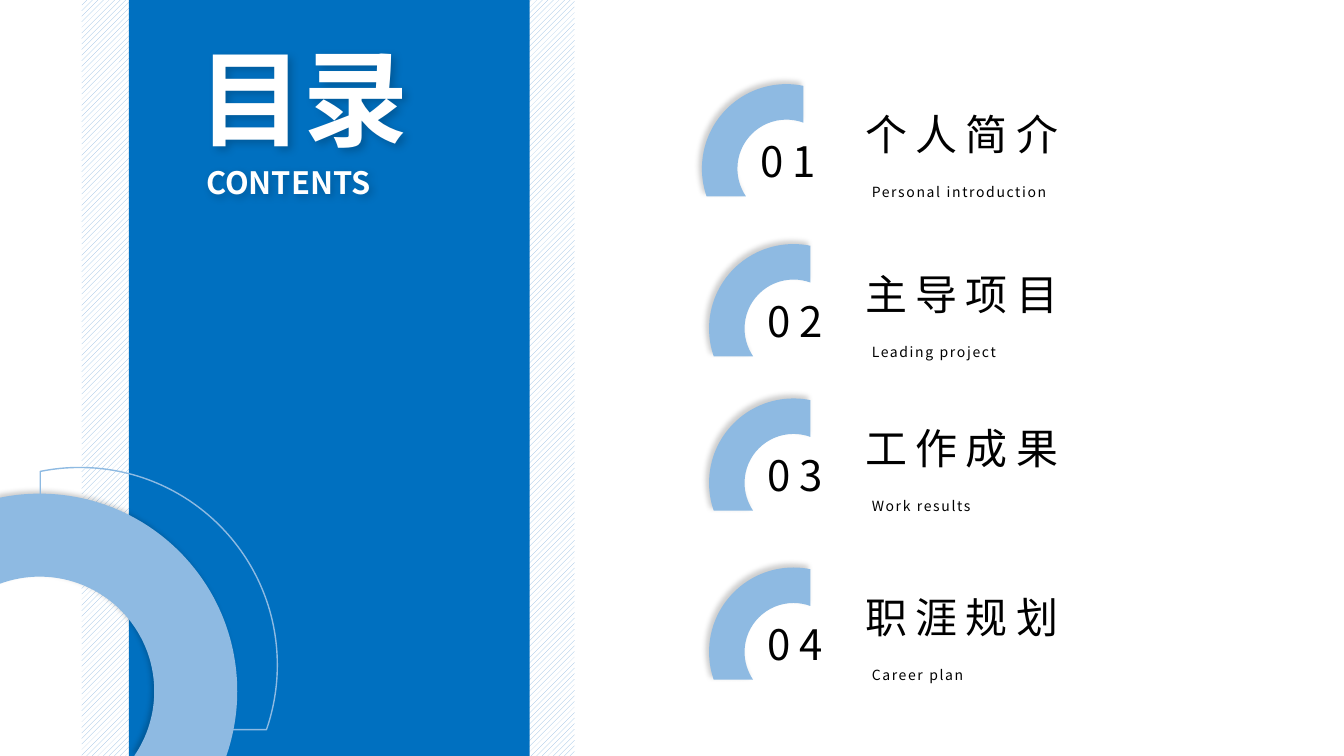
import math

import pptx
import pptx.util
from lxml import etree
from pptx.dml.color import RGBColor
from pptx.enum.dml import MSO_PATTERN
from pptx.enum.shapes import MSO_SHAPE
from pptx.enum.text import MSO_ANCHOR, MSO_AUTO_SIZE, PP_ALIGN
from pptx.oxml.ns import qn
from pptx.util import Cm, Pt

HEADING = "目录"
SUBHEADING = "CONTENTS"
CHAPTERS = [
    ("01", "个人简介", "Personal introduction", 19.82, 4.25),
    ("02", "主导项目", "Leading project", 20, 8.28),
    ("03", "工作成果", "Work results", 20, 12.17),
    ("04", "职涯规划", "Career plan", 20, 16.43),
]

BLUE = RGBColor(0x00, 0x70, 0xC0)
PALE = RGBColor(0x8E, 0xBA, 0xE2)
WHITE = RGBColor(0xFF, 0xFF, 0xFF)
BLACK = RGBColor(0x00, 0x00, 0x00)
FONT = "Noto Sans CJK SC"

HEADING_FONT = {"size": Pt(75), "bold": True}
SUBHEADING_FONT = {"size": Pt(22), "bold": True}
CHAPTER_FONT = {"size": Pt(30), "bold": False}
CAPTION_FONT = {"size": Pt(10), "bold": False}

HOLE, SIDE_CUT, BOTTOM_CUT = 0.58, 0.2, 0.327


def add_shadow(shape, angle, blur=4):
    shape.shadow.inherit = False
    effects = shape.element.spPr.find(qn("a:effectLst"))
    outer = etree.SubElement(effects, qn("a:outerShdw"), {
        "blurRad": str(Pt(blur)), "dist": str(Pt(3)), "dir": str(angle * 60000),
        "algn": "ctr", "rotWithShape": "0"})
    color = etree.SubElement(outer, qn("a:srgbClr"), val="000000")
    etree.SubElement(color, qn("a:alpha"), val="20000")


def add_panel(page, left, width):
    panel = page.shapes.add_shape(MSO_SHAPE.RECTANGLE, Cm(left), 0, Cm(width), Cm(19.05))
    panel.shadow.inherit = False
    panel.line.fill.background()
    return panel


def arc_stops(radius):
    return [(radius, math.pi - math.asin(BOTTOM_CUT / radius)), (radius, math.pi),
            (radius, 1.5 * math.pi), (radius, 2 * math.pi - math.acos(SIDE_CUT / radius))]


def bezier_points(radius, start, end):
    reach = 4 / 3 * math.tan((end - start) / 4)
    return [(radius * (math.cos(angle) - pull * math.sin(angle)),
             radius * (math.sin(angle) + pull * math.cos(angle)))
            for angle, pull in ((start, reach), (end, -reach), (end, 0))]


def add_ring(page, center_x, center_y, radius, mirror=1, outlined=False):
    def place(x, y):
        return Cm(center_x + mirror * radius * x), Cm(center_y + radius * y)

    stops = arc_stops(1) + arc_stops(HOLE)[::-1]
    points = [place(reach * math.cos(angle), reach * math.sin(angle))
              for reach, angle in stops]
    builder = page.shapes.build_freeform(*points[0])
    builder.add_line_segments(points[1:], close=True)
    ring = builder.convert_to_shape()
    segments = list(ring.element.spPr.iter(qn("a:lnTo")))
    for segment, (reach, start), (next_reach, end) in zip(segments, stops, stops[1:]):
        if reach != next_reach:
            continue
        curve = etree.Element(qn("a:cubicBezTo"))
        for x, y in bezier_points(reach, start, end):
            left, top = place(x, y)
            etree.SubElement(curve, qn("a:pt"), x=str(left - ring.left), y=str(top - ring.top))
        segment.getparent().replace(segment, curve)
    if outlined:
        ring.shadow.inherit = False
        ring.fill.background()
        ring.line.color.rgb = PALE
        ring.line.width = Pt(1)
    else:
        add_shadow(ring, 225)
        ring.fill.solid()
        ring.fill.fore_color.rgb = PALE
        ring.line.fill.background()


def write_text(box, text, font, color, align, anchor, spacing=0):
    frame = box.text_frame
    for name, value in {"word_wrap": True, "auto_size": MSO_AUTO_SIZE.NONE,
                        "vertical_anchor": anchor}.items():
        setattr(frame, name, value)
    para = frame.paragraphs[0]
    para.alignment = align
    span = para.add_run()
    span.text = text
    for name, value in {**font, "name": FONT}.items():
        setattr(span.font, name, value)
    span.font.color.rgb = color
    properties = span.font._element
    etree.SubElement(properties, qn("a:ea"), typeface=FONT)
    if spacing:
        properties.set("spc", str(int(spacing * 100)))


def add_text(page, left, top, width, height, *text_format, spacing=0):
    box = page.shapes.add_textbox(Cm(left), Cm(top), Cm(width), Cm(height))
    write_text(box, *text_format, spacing=spacing)
    return box


def add_cover_band(page):
    stripes = add_panel(page, 2.06, 12.42)
    stripes.fill.patterned()
    stripes.fill.pattern = MSO_PATTERN.WIDE_UPWARD_DIAGONAL
    stripes.fill.fore_color.rgb = PALE
    stripes.fill.back_color.rgb = WHITE
    band = add_panel(page, 3.25, 10.1)
    band.fill.solid()
    band.fill.fore_color.rgb = BLUE
    add_ring(page, 1, 17.42, 4.98, mirror=-1)
    add_ring(page, 2.01, 16.76, 4.98, mirror=-1, outlined=True)


def add_headings(page):
    title = page.shapes.title
    title.element.getparent().append(title.element)
    for name, value in {"left": Cm(4.75), "top": Cm(0.71),
                        "width": Cm(6.17), "height": Cm(3.45)}.items():
        setattr(title, name, value)
    write_text(title, HEADING, HEADING_FONT, WHITE, PP_ALIGN.JUSTIFY, MSO_ANCHOR.TOP)
    subtitle = add_text(page, 4.95, 3.99, 5.97, 1.19, SUBHEADING, SUBHEADING_FONT, WHITE,
                        PP_ALIGN.JUSTIFY, MSO_ANCHOR.TOP)
    for heading in (title, subtitle):
        add_shadow(heading, 45, blur=6)


def add_chapter(page, number, name, caption, center_x, center_y):
    add_ring(page, center_x, center_y, 2.13)
    add_text(page, center_x - 1.24, center_y - 1.09, 2.57, 1.78, number, CHAPTER_FONT,
             BLACK, PP_ALIGN.CENTER, MSO_ANCHOR.MIDDLE, spacing=6)
    add_text(page, 21.55, center_y - 1.48, 8.08, 1.19, name, CHAPTER_FONT,
             BLACK, PP_ALIGN.JUSTIFY, MSO_ANCHOR.MIDDLE, spacing=6)
    add_text(page, 21.72, center_y + 0.23, 9.4, 0.69, caption, CAPTION_FONT,
             BLACK, PP_ALIGN.LEFT, MSO_ANCHOR.BOTTOM, spacing=1.2)


def main():
    deck = pptx.Presentation()
    deck.slide_width, deck.slide_height = Cm(33.87), Cm(19.05)
    page = deck.slides.add_slide(deck.slide_layouts[5])
    add_cover_band(page)
    add_headings(page)
    for chapter in CHAPTERS:
        add_chapter(page, *chapter)
    deck.save("out.pptx")


if __name__ == "__main__":
    main()
